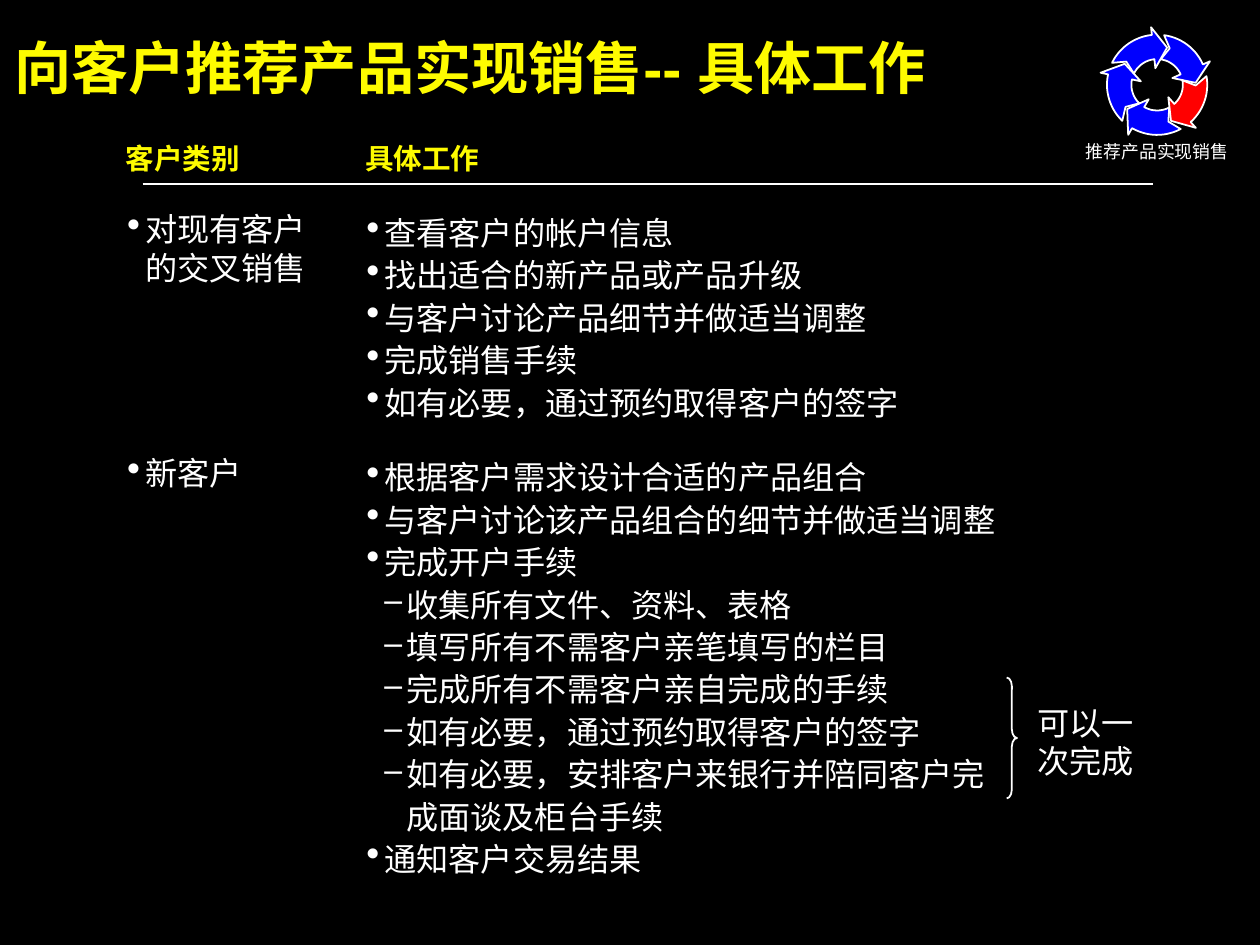
import math
from dataclasses import dataclass

import lxml.etree
import pptx
import pptx.dml.color
import pptx.enum.shapes
import pptx.enum.text
import pptx.oxml.ns
import pptx.util

Inches = pptx.util.Inches
Align = pptx.enum.text.PP_ALIGN
Anchor = pptx.enum.text.MSO_ANCHOR


@dataclass(frozen=True)
class Theme:
    font: str = "Arial"
    background: str = "000000"
    text: str = "FFFFFF"
    heading: str = "FEFB00"
    step: str = "0000FE"
    current_step: str = "FF0000"
    title_size: int = 32
    heading_size: int = 16
    body_size: int = 18
    caption_size: int = 10
    line_width: int = 1


THEME = Theme()
# Level: (bullet, left margin, hanging indent, bullet size in percent)
BULLETS = {1: ("•", 0.15, 0.14, 120), 2: ("–", 0.32, 0.17, 100)}

TITLE = "向客户推荐产品实现销售-- 具体工作"
HEADINGS = ("客户类别", "具体工作")
EXISTING_CUSTOMER_TASKS = [
    (1, "查看客户的帐户信息"),
    (1, "找出适合的新产品或产品升级"),
    (1, "与客户讨论产品细节并做适当调整"),
    (1, "完成销售手续"),
    (1, "如有必要，通过预约取得客户的签字"),
]
NEW_CUSTOMER_TASKS = [
    (1, "根据客户需求设计合适的产品组合"),
    (1, "与客户讨论该产品组合的细节并做适当调整"),
    (1, "完成开户手续"),
    (2, "收集所有文件、资料、表格"),
    (2, "填写所有不需客户亲笔填写的栏目"),
    (2, "完成所有不需客户亲自完成的手续"),
    (2, "如有必要，通过预约取得客户的签字"),
    (2, "如有必要，安排客户来银行并陪同客户完成面谈及柜台手续"),
    (1, "通知客户交易结果"),
]


def rgb(color):
    return pptx.dml.color.RGBColor.from_string(color)


def add_bullet(paragraph, level):
    character, margin, hanging, percent = BULLETS[level]
    properties = paragraph._p.get_or_add_pPr()
    properties.set("marL", str(Inches(margin)))
    properties.set("indent", str(-Inches(hanging)))
    qn = pptx.oxml.ns.qn
    color = lxml.etree.SubElement(properties, qn("a:buClr"))
    lxml.etree.SubElement(color, qn("a:srgbClr"), val=THEME.text)
    lxml.etree.SubElement(properties, qn("a:buSzPct"), val=str(percent * 1000))
    lxml.etree.SubElement(properties, qn("a:buChar"), char=character)


def add_text(slide, box, items, size=THEME.body_size, color=THEME.text, bold=False,
             align=Align.LEFT, anchor=Anchor.TOP, spacing=1.0):
    """Place (level, text) items in a box; level 0 has no bullet."""
    frame = slide.shapes.add_textbox(*map(Inches, box)).text_frame
    frame.word_wrap = True
    frame.vertical_anchor = anchor
    frame.margin_left = frame.margin_top = frame.margin_right = frame.margin_bottom = 0
    for index, (level, text) in enumerate(items):
        paragraph = frame.add_paragraph() if index else frame.paragraphs[0]
        if level:
            add_bullet(paragraph, level)
        paragraph.alignment = align
        paragraph.line_spacing = spacing
        run = paragraph.add_run()
        run.text = text
        run._r.get_or_add_rPr().set("lang", "zh-CN")
        run.font.name = THEME.font
        run.font.size = pptx.util.Pt(size)
        run.font.bold = bold
        run.font.color.rgb = rgb(color)


def format_line(shape):
    shape.line.color.rgb = rgb(THEME.text)
    shape.line.width = pptx.util.Pt(THEME.line_width)


def add_cycle_arrow(slide, center, turn, color):
    """Draw one curved arrow of the ring; angles run clockwise from the top."""
    def point(radius, angle):
        radians = math.radians(angle + turn)
        return (Inches(center[0] + radius * math.sin(radians)),
                Inches(center[1] - radius * math.cos(radians)))

    outer, inner, middle = 0.39, 0.2, 0.3
    tail, head, steps = -64, -6, 14
    angles = [tail + (head - tail) * step / steps for step in range(steps + 1)]
    points = [point(inner, angle) for angle in angles]
    points += [point(0.13, head), point(middle, 15), point(0.45, head)]
    points += [point(outer, angle) for angle in reversed(angles)]
    points.append(point(middle, -53))

    builder = slide.shapes.build_freeform(*points[0])
    builder.add_line_segments(points[1:], close=True)
    arrow = builder.convert_to_shape()
    arrow.shadow.inherit = False
    arrow.fill.solid()
    arrow.fill.fore_color.rgb = rgb(color)
    format_line(arrow)


def add_cycle(slide, box):
    """Five-step ring with the current step in red, above its caption."""
    left, top, width, height = box
    center = (left + width / 2, top + 0.45)
    steps, current = 5, 3
    for step in range(steps):
        color = THEME.current_step if step == current - 1 else THEME.step
        add_cycle_arrow(slide, center, step * 360 / steps, color)
    caption_height = 0.17
    add_text(slide, (left, top + height - caption_height, width, caption_height),
             [(0, "推荐产品实现销售")], size=THEME.caption_size,
             align=Align.CENTER, anchor=Anchor.MIDDLE)


def add_headings(slide, box, task_left):
    left, top, width, height = box
    for column_left, heading in zip((left, task_left), HEADINGS):
        add_text(slide, (column_left, top, 1.83, 0.27), [(0, heading)],
                 size=THEME.heading_size, color=THEME.heading, bold=True)
    rule = slide.shapes.add_connector(
        pptx.enum.shapes.MSO_CONNECTOR.STRAIGHT,
        Inches(left + 0.13), Inches(top + height), Inches(left + width), Inches(top + height))
    format_line(rule)
    lxml.etree.SubElement(rule._element.spPr, pptx.oxml.ns.qn("a:effectLst"))


def add_customer_row(slide, box, task_left, customer, tasks):
    left, top, width, height = box
    add_text(slide, (left, top, 1.64, 0.6), [(1, customer)])
    add_text(slide, (task_left, top, left + width - task_left, height), tasks, spacing=1.1)


def add_brace_note(slide, box):
    left, top, width, height = box
    brace = slide.shapes.add_shape(pptx.enum.shapes.MSO_SHAPE.RIGHT_BRACE,
                                   *map(Inches, (left, top, 0.08, height)))
    brace.adjustments[0] = 0.85
    brace.shadow.inherit = False
    brace.fill.background()
    format_line(brace)
    add_text(slide, (left + 0.24, top + 0.2, width - 0.24, 0.6), [(0, "可以一次完成")])


def main():
    presentation = pptx.Presentation()
    presentation.slide_width = Inches(9.8)
    presentation.slide_height = Inches(7.35)
    slide = presentation.slides.add_slide(presentation.slide_layouts[6])
    slide.background.fill.solid()
    slide.background.fill.fore_color.rgb = rgb(THEME.background)

    # Title and progress ring
    add_text(slide, (0.11, 0.25, 8.2, 0.53), [(0, TITLE)],
             size=THEME.title_size, color=THEME.heading, bold=True)
    add_cycle(slide, (8.36, 0.21, 1.28, 1.05))

    # Customer types and their tasks
    left, task_left = 0.98, 2.84
    add_headings(slide, (left, 1.1, 7.99, 0.33), task_left)
    add_customer_row(slide, (left, 1.63, 6.85, 1.65), task_left,
                     "对现有客户的交叉销售", EXISTING_CUSTOMER_TASKS)
    add_customer_row(slide, (left, 3.53, 6.85, 3.3), task_left,
                     "新客户", NEW_CUSTOMER_TASKS)
    add_brace_note(slide, (7.83, 5.27, 1.19, 0.94))

    presentation.save("out.pptx")


if __name__ == "__main__":
    main()
